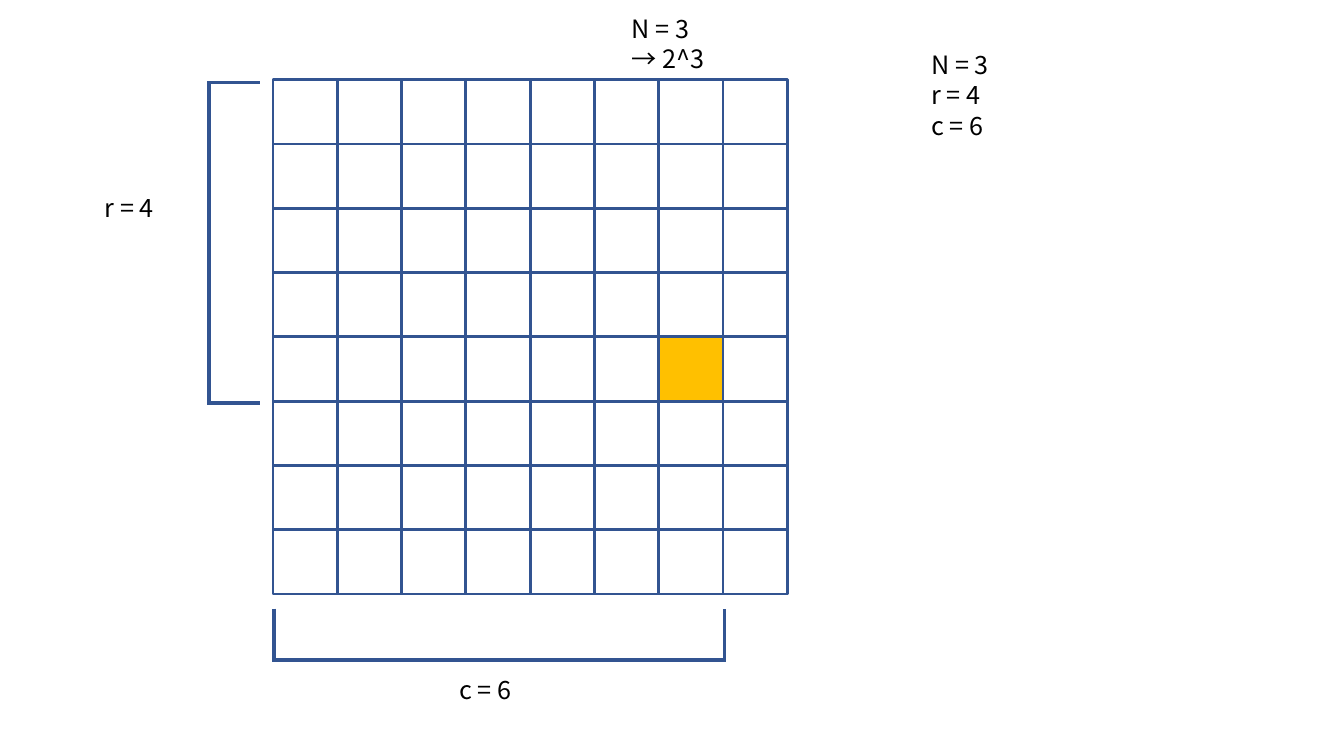
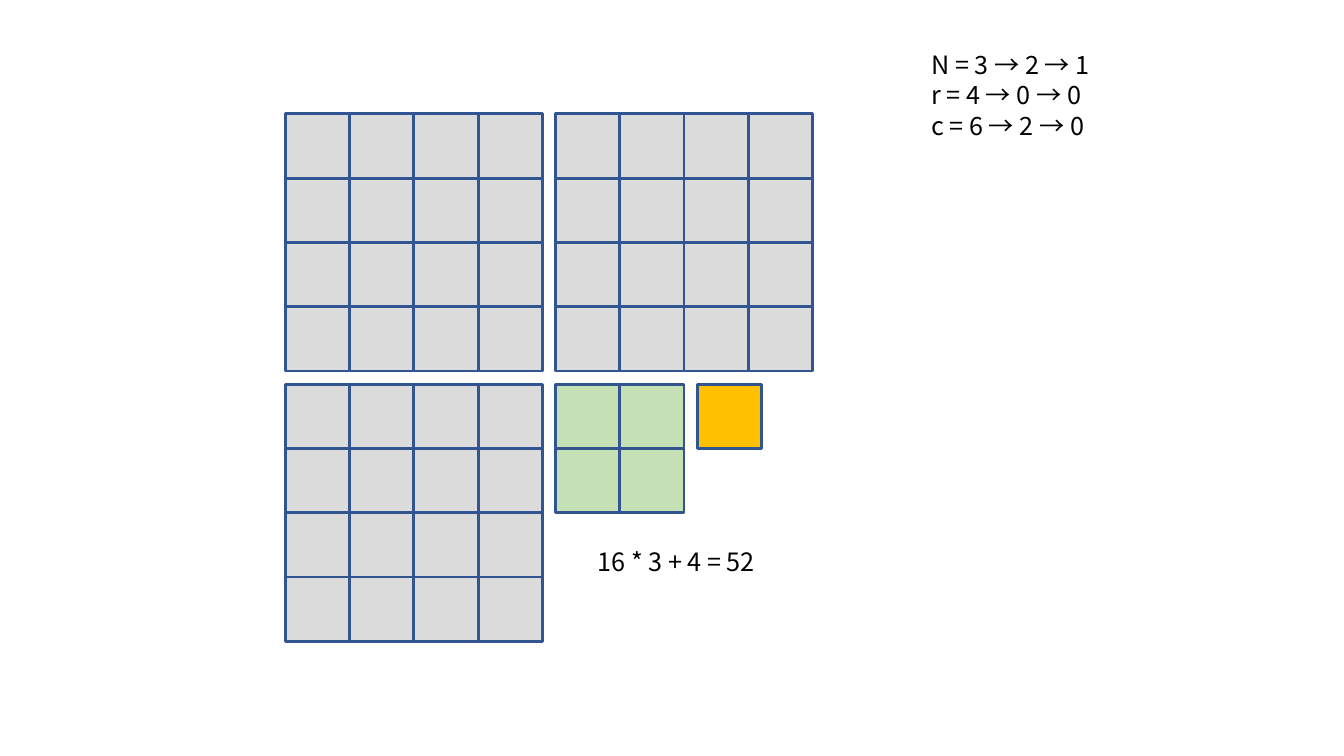
from lxml.etree import SubElement
from pptx import Presentation
from pptx.dml.color import RGBColor
from pptx.enum.shapes import MSO_SHAPE
from pptx.enum.text import MSO_AUTO_SIZE
from pptx.oxml.ns import qn
from pptx.util import Cm, Pt

FONT = {"name": "Noto Sans CJK KR", "size": Pt(18)}
BLACK, NAVY, WHITE = "000000", "325491", "FFFFFF"
ORANGE, GREEN, GREY = "FFC000", "C5E0B4", "DBDBDB"
CELL, GAP = 1.62, 0.33
QUADRANT = 4 * CELL + GAP
INPUT_AT = (23.22, 1.12)

BOARD_AT = (6.88, 2.01)
BOARD_SIZE = 8
TARGET = (4, 6)
BRACKETS = [
    [(6.55, 2.08), (5.26, 2.08), (5.26, 10.16), (6.55, 10.16)],
    [(6.91, 15.34), (6.91, 16.64), (18.26, 16.64), (18.26, 15.34)],
]
BOARD_TEXTS = [
    (INPUT_AT, (2.26, 2.57), ["N = 3", "r = 4", "c = 6"]),
    ((11.33, 16.87), (2.08, 1.02), ["c = 6"]),
    ((2.39, 4.72), (2.01, 1.02), ["r = 4"]),
    ((15.67, 0.2), (2.51, 1.8), ["N = 3", "→ 2^3"]),
]

SPLIT_AT = (7.19, 2.87)
SPLIT_GRIDS = [
    (0, 0, 4, GREY),
    (QUADRANT, 0, 4, GREY),
    (0, QUADRANT, 4, GREY),
    (QUADRANT, QUADRANT, 2, GREEN),
    (QUADRANT + 2 * CELL + GAP, QUADRANT, 1, ORANGE),
]
SPLIT_TEXTS = [
    (INPUT_AT, (5.13, 2.57), ["N = 3 → 2 → 1", "r = 4 → 0 → 0", "c = 6 → 2 → 0"]),
    ((14.81, 13.64), (5.16, 1.02), ["16 * 3 + 4 = 52"]),
]


def rgb(color):
    return RGBColor.from_string(color)


def outline(sp, width):
    sp.shadow.inherit = False
    sp.line.color.rgb = rgb(NAVY)
    sp.line.width = Pt(width)


def add_grid(s, left, top, size, color, marked=None):
    group = s.shapes.add_group_shape()
    for row in range(size):
        for col in range(size):
            sp = group.shapes.add_shape(
                MSO_SHAPE.RECTANGLE, Cm(left + col * CELL), Cm(top + row * CELL),
                Cm(CELL), Cm(CELL))
            sp.fill.solid()
            sp.fill.fore_color.rgb = rgb(ORANGE if (row, col) == marked else color)
            outline(sp, 2)


def add_bracket(s, points):
    start, *rest = [(Cm(x), Cm(y)) for x, y in points]
    builder = s.shapes.build_freeform(*start)
    builder.add_line_segments(rest, close=False)
    sp = builder.convert_to_shape()
    sp.fill.background()
    outline(sp, 2.75)
    SubElement(sp.line._get_or_add_ln(), qn("a:miter"), lim="800000")


def add_text(s, at, size, lines):
    tf = s.shapes.add_textbox(*map(Cm, at + size)).text_frame
    tf.word_wrap = False
    tf.auto_size = MSO_AUTO_SIZE.SHAPE_TO_FIT_TEXT
    for i, line in enumerate(lines):
        p = tf.add_paragraph() if i else tf.paragraphs[0]
        r = p.add_run()
        r.text = line
        for name, value in FONT.items():
            setattr(r.font, name, value)
        r.font.color.rgb = rgb(BLACK)


def add_slide(prs, texts):
    s = prs.slides.add_slide(prs.slide_layouts[6])
    for text in texts:
        add_text(s, *text)
    return s


prs = Presentation()
prs.slide_width, prs.slide_height = Cm(33.87), Cm(19.05)

s = add_slide(prs, BOARD_TEXTS)
add_grid(s, *BOARD_AT, BOARD_SIZE, WHITE, TARGET)
for points in BRACKETS:
    add_bracket(s, points)

s = add_slide(prs, SPLIT_TEXTS)
for dx, dy, size, color in SPLIT_GRIDS:
    add_grid(s, SPLIT_AT[0] + dx, SPLIT_AT[1] + dy, size, color)

prs.save("out.pptx")
